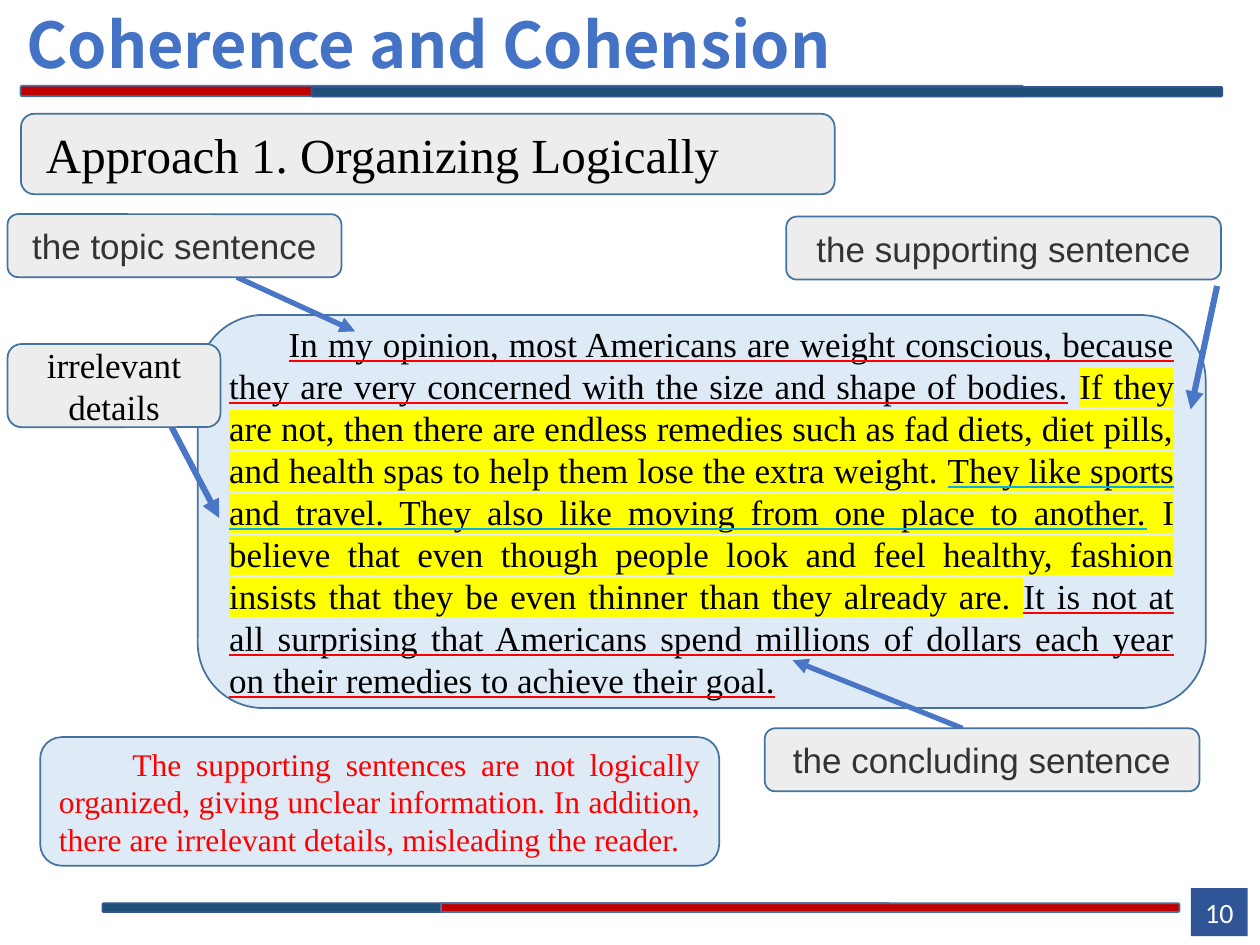
from pptx import Presentation
from pptx.util import Pt
from pptx.dml.color import RGBColor
from pptx.enum.shapes import MSO_SHAPE, MSO_CONNECTOR
from pptx.enum.text import MSO_ANCHOR, MSO_AUTO_SIZE, PP_ALIGN
from pptx.oxml import parse_xml
from pptx.oxml.ns import nsdecls


def paint(color, value):
    color.rgb = RGBColor.from_string(value)


def box(place, fill, line="", text="", font="Arial", size=20, ink="333333",
        align=PP_ALIGN.CENTER, kind=MSO_SHAPE.ROUNDED_RECTANGLE):
    shape = slide.shapes.add_shape(kind, *map(Pt, place))
    shape.shadow.inherit = False
    shape.fill.solid()
    paint(shape.fill.fore_color, fill)
    if line:
        paint(shape.line.color, line)
        shape.line.width = Pt(1)
    else:
        shape.line.fill.background()
    frame = shape.text_frame
    frame.word_wrap = True
    frame.vertical_anchor = MSO_ANCHOR.MIDDLE
    para = frame.paragraphs[0]
    para.alignment = align
    if text:
        para.text = text
    for run in para.runs:
        run.font.name = font
        run.font.size = Pt(size)
        paint(run.font.color, ink)
    return para


RED, NAVY, GRAY, PALE, EDGE = "C00000", "1F4E79", "EDEDED", "DEEBF7", "43739E"
SERIF = "Times New Roman"

deck = Presentation()
deck.slide_width, deck.slide_height = Pt(720), Pt(540)
slide = deck.slides.add_slide(deck.slide_layouts[5])

title = slide.shapes.title
title.left, title.top, title.width, title.height = map(Pt, (15, 2, 473, 45))
frame = title.text_frame
frame.text = "Coherence and Cohension"
frame.auto_size = MSO_AUTO_SIZE.NONE
frame.vertical_anchor = MSO_ANCHOR.MIDDLE
frame.margin_left = frame.margin_right = frame.margin_top = frame.margin_bottom = 0
head = frame.paragraphs[0]
head.alignment = PP_ALIGN.LEFT
font = head.runs[0].font
font.name, font.size, font.bold = "Noto Sans CJK SC", Pt(36), True
paint(font.color, "4472C4")

box((680.5, 507.5, 32.5, 27.5), "2F5597", "", "10", "Calibri", 16, "FFFFFF",
    kind=MSO_SHAPE.RECTANGLE)
for place, fill, line in [
    ((11.8, 49, 573, 6), RED, EDGE),
    ((178, 49.7, 520.5, 5.5), NAVY, "325491"),
    ((58.5, 516.2, 450, 5), NAVY, "325491"),
    ((252, 516.2, 422, 5), RED, EDGE),
]:
    box(place, fill, line)

topic = box((12, 65, 465, 46), GRAY, EDGE, "Approach 1. Organizing Logically",
            SERIF, 28, "000000", PP_ALIGN.LEFT)
topic._p.get_or_add_pPr().set("marL", str(Pt(5)))

parts = [
    ("In my opinion, most Americans are weight conscious, because they are very "
     "concerned with the size and shape of bodies.", "", "FF0000"),
    (" ", "", ""),
    ("If they are not, then there are endless remedies such as fad diets, diet pills, "
     "and health spas to help them lose the extra weight. ", "FFFF00", ""),
    ("They like sports and travel. They also like moving from one place to another.",
     "FFFF00", "00B0F0"),
    (" I believe that even though people look and feel healthy, fashion insists that "
     "they be even thinner than they already are. ", "FFFF00", ""),
    ("It is not at all surprising that Americans spend millions of dollars each year "
     "on their remedies to achieve their goal.", "", "FF0000"),
]
essay = box((113, 180, 576, 224.6), PALE, EDGE, align=PP_ALIGN.JUSTIFY)
essay._p.get_or_add_pPr().set("indent", str(Pt(34)))
for text, mark, under in parts:
    run = essay.add_run()
    run.text = text
    run.font.name, run.font.size = SERIF, Pt(20)
    paint(run.font.color, "000000")
    latin = run._r.rPr.find("{*}latin")
    if mark:
        latin.addprevious(parse_xml(
            f'<a:highlight {nsdecls("a")}><a:srgbClr val="{mark}"/></a:highlight>'))
    if under:
        run.font.underline = True
        latin.addprevious(parse_xml(
            f'<a:uFill {nsdecls("a")}><a:solidFill><a:srgbClr val="{under}"/>'
            '</a:solidFill></a:uFill>'))

note = box((23, 421.2, 388, 73.5), PALE, EDGE,
           "The supporting sentences are not logically organized, giving unclear "
           "information. In addition, there are irrelevant details, misleading the reader.",
           SERIF, 18, "FF0000", PP_ALIGN.JUSTIFY)
note._p.get_or_add_pPr().set("indent", str(Pt(42)))

for ends, width in [
    ((135.4, 158.4, 203, 189.4), 3),
    ((550, 416.2, 452.9, 377.3), 3),
    ((695.5, 163.4, 680.4, 234), 3.5),
    ((98, 244, 125.3, 296), 3.5),
]:
    arrow = slide.shapes.add_connector(MSO_CONNECTOR.STRAIGHT, *map(Pt, ends))
    paint(arrow.line.color, "4A76C6")
    arrow.line.width = Pt(width)
    arrow.line._get_or_add_ln().append(
        parse_xml(f'<a:tailEnd {nsdecls("a")} type="triangle"/>'))
    arrow._element.spPr.append(parse_xml(f'<a:effectLst {nsdecls("a")}/>'))

for place, text in [
    ((4.3, 122.4, 190.8, 36), "the topic sentence"),
    ((437, 416.2, 248.4, 36), "the concluding sentence"),
    ((449.3, 123.8, 248.4, 36), "the supporting sentence"),
]:
    box(place, GRAY, EDGE, text)
box((4.3, 196.6, 121.7, 47.5), GRAY, EDGE, "irrelevant details", SERIF, 20, "000000")

deck.save("out.pptx")
